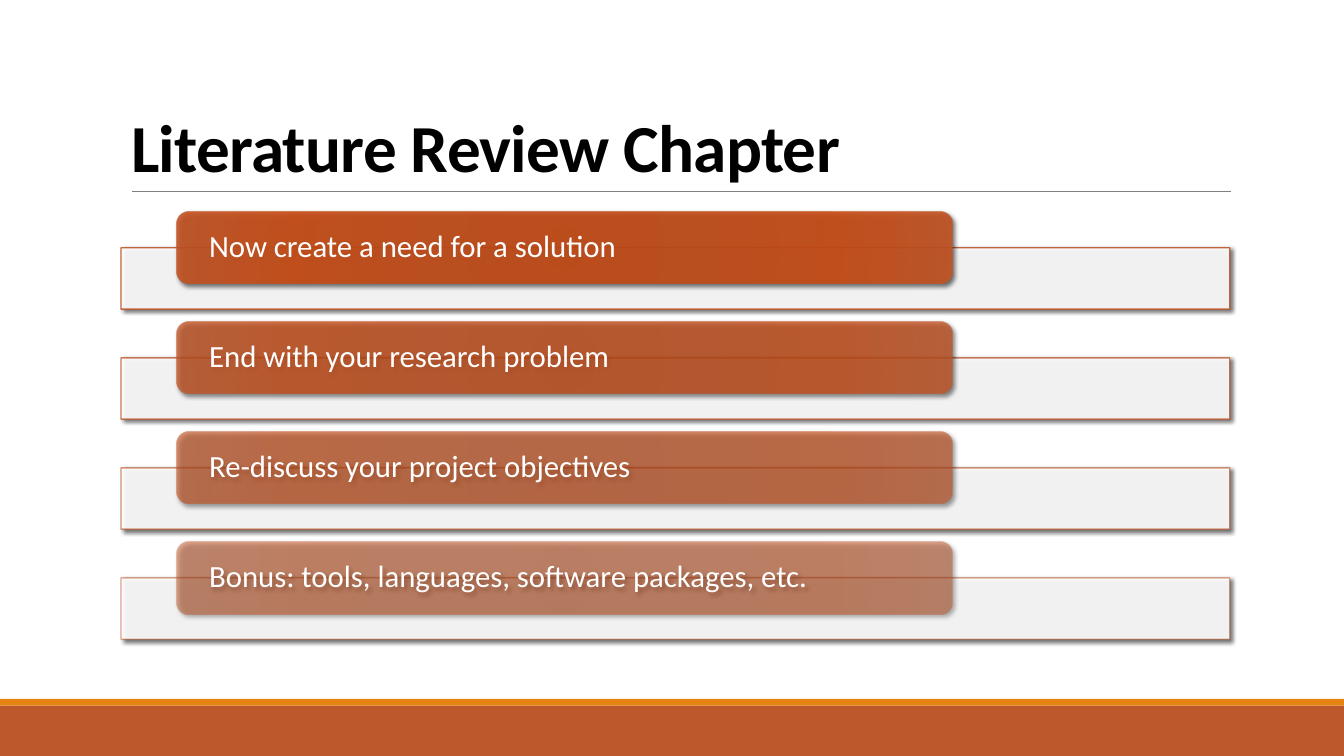
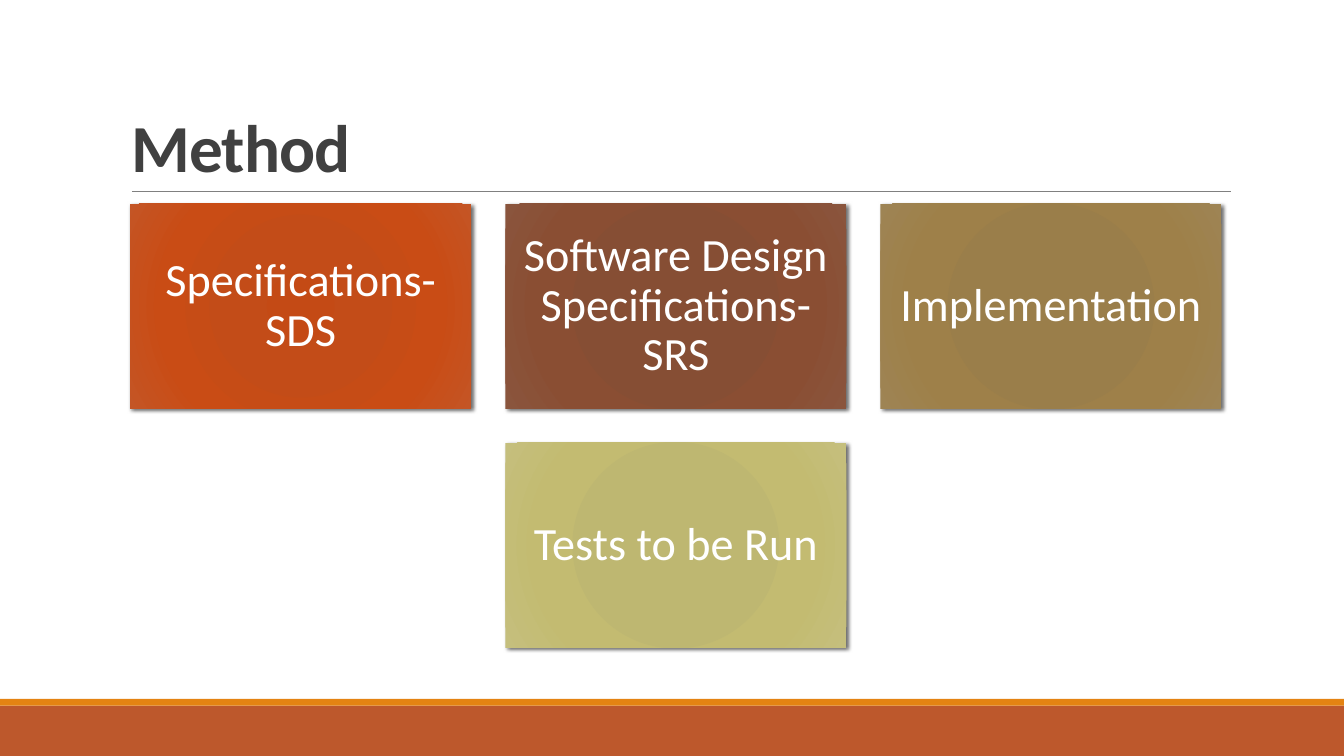
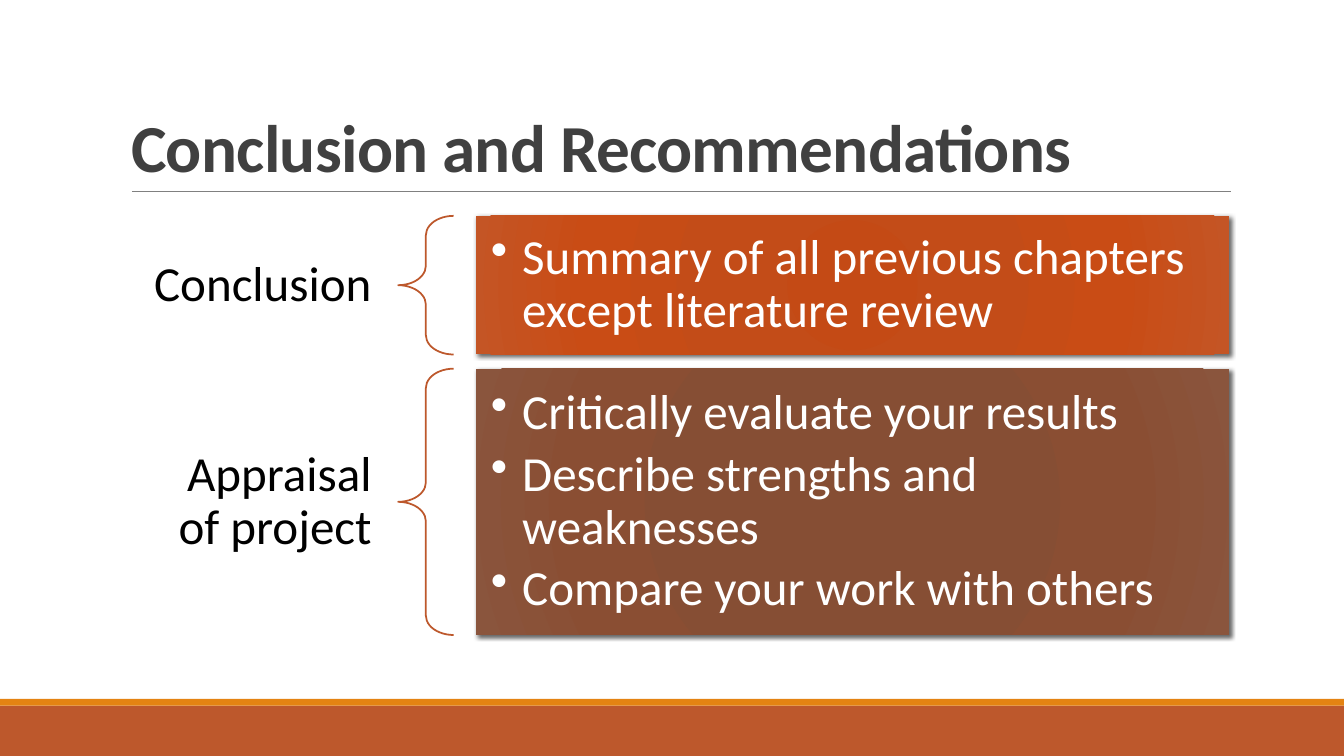
"""Builds three thesis-guidance slides that share one title style and footer band."""
from dataclasses import dataclass

import lxml.etree
import pptx
import pptx.dml.color
import pptx.enum.shapes
import pptx.enum.text
import pptx.oxml.ns
import pptx.presentation
import pptx.shapes.base
import pptx.slide
import pptx.util

SHAPES = pptx.enum.shapes.MSO_SHAPE
ALIGN = pptx.enum.text.PP_ALIGN
ANCHOR = pptx.enum.text.MSO_ANCHOR
qualified = pptx.oxml.ns.qn

SLIDE_WIDTH = pptx.util.Inches(13.33)
SLIDE_HEIGHT = pptx.util.Inches(7.5)
GRID_COLUMNS, GRID_ROWS = 160, 90

BLACK, WHITE, CHARCOAL, GREY = "000000", "FFFFFF", "404040", "808080"
RUST, AMBER = "BD582C", "E48312"
GRADIENT_POSITIONS = (0, 34, 70, 100)
ORANGE_SHADES = ("C44A15", "C34C18", "C94C15", "C45525")
BROWN_SHADES = ("874C32", "864E34", "8A4E33", "8A553D")
OCHRE_SHADES = ("9A7D48", "9A7E4A", "9E8049", "9E8454")
OLIVE_SHADES = ("BEB76E", "BEB771", "C3BB71", "C5BF7D")


@dataclass(frozen=True)
class Box:
    """A rectangle in grid columns and rows."""
    left: float
    top: float
    width: float
    height: float

    def emu(self) -> tuple[int, int, int, int]:
        """Return left, top, width and height in EMU."""
        return (columns(self.left), rows(self.top),
                columns(self.width), rows(self.height))


@dataclass(frozen=True)
class TextStyle:
    """The look of all paragraphs in one text frame."""
    size: float
    color: str = WHITE
    align: ALIGN = ALIGN.LEFT
    anchor: ANCHOR = ANCHOR.MIDDLE
    side_inset: float = 1.2
    end_inset: float = 0.6
    line_spacing: float = 0.9
    bold: bool = False
    tracking: float = 0
    bullet_indent: float = 0


@dataclass(frozen=True)
class Tile:
    """A caption on a gradient tile."""
    caption: str
    shades: tuple[str, ...]


@dataclass(frozen=True)
class Topic:
    """A label braced to a panel of bullet points."""
    label: str
    points: tuple[str, ...]
    shades: tuple[str, ...]
    height: float


PILL_TEXT = TextStyle(22, side_inset=3.48, end_inset=0)
TILE_TEXT = TextStyle(33, align=ALIGN.CENTER, side_inset=1.68, end_inset=1.68)
LABEL_TEXT = TextStyle(35, BLACK, ALIGN.RIGHT, side_inset=3.24, end_inset=1.2)
POINT_TEXT = TextStyle(35, side_inset=1.8, end_inset=1.8, bullet_indent=3.72)

REVIEW_STEPS = (
    "Now create a need for a solution",
    "End with your research problem",
    "Re-discuss your project objectives",
    "Bonus: tools, languages, software packages, etc.",
)
METHOD_TILES = (
    Tile("Specifications-SDS", ORANGE_SHADES),
    Tile("Software Design Specifications-SRS", BROWN_SHADES),
    Tile("Implementation", OCHRE_SHADES),
    Tile("Tests to be Run", OLIVE_SHADES),
)
TOPICS = (
    Topic("Conclusion",
          ("Summary of all previous chapters except literature review",),
          ORANGE_SHADES, 16.5),
    Topic("Appraisal of project",
          ("Critically evaluate your results",
           "Describe strengths and weaknesses",
           "Compare your work with others"),
          BROWN_SHADES, 31.7),
)


def columns(count: float) -> int:
    """Convert grid columns to EMU."""
    return round(SLIDE_WIDTH * count / GRID_COLUMNS)


def rows(count: float) -> int:
    """Convert grid rows to EMU."""
    return round(SLIDE_HEIGHT * count / GRID_ROWS)


def rgb(color: str) -> pptx.dml.color.RGBColor:
    """Turn a hex string into a colour."""
    return pptx.dml.color.RGBColor.from_string(color)


def add_element(parent: lxml.etree._Element, name: str,
                **attributes: object) -> lxml.etree._Element:
    """Append a drawing element with the given attributes."""
    values = {key: str(value) for key, value in attributes.items()}
    return lxml.etree.SubElement(parent, qualified(f"a:{name}"), values)


def set_opacity(color_element: lxml.etree._Element, opacity: int) -> None:
    """Make a colour element partly transparent, in percent."""
    if opacity < 100:
        add_element(color_element, "alpha", val=opacity * 1000)


def fill_gradient(shape: pptx.shapes.base.BaseShape, shades: tuple[str, ...],
                  opacity: int = 100) -> None:
    """Fill a shape with a radial gradient."""
    shape.fill.background()
    properties = shape._element.spPr
    empty_fill = properties.find(qualified("a:noFill"))
    gradient = add_element(properties, "gradFill", rotWithShape=1)
    properties.replace(empty_fill, gradient)
    stops = add_element(gradient, "gsLst")
    for position, shade in zip(GRADIENT_POSITIONS, shades):
        stop = add_element(stops, "gs", pos=position * 1000)
        set_opacity(add_element(stop, "srgbClr", val=shade), opacity)
    circle = add_element(gradient, "path", path="circle")
    add_element(circle, "fillToRect", l=100000, t=100000, r=100000, b=100000)


def drop_shadow(shape: pptx.shapes.base.BaseShape) -> None:
    """Give a shape a soft shadow to the lower right."""
    effects = shape._element.spPr.find(qualified("a:effectLst"))
    shadow = add_element(effects, "outerShdw", blurRad=pptx.util.Pt(3),
                         dist=pptx.util.Pt(2), dir=45 * 60000, rotWithShape=0)
    set_opacity(add_element(shadow, "srgbClr", val=BLACK), 60)


def add_plain_shape(slide: pptx.slide.Slide, kind: SHAPES, box: Box,
                    fill: str | None = None) -> pptx.shapes.base.BaseShape:
    """Add a shape without outline or shadow."""
    shape = slide.shapes.add_shape(kind, *box.emu())
    shape.shadow.inherit = False
    shape.line.fill.background()
    if fill:
        shape.fill.solid()
        shape.fill.fore_color.rgb = rgb(fill)
    else:
        shape.fill.background()
    return shape


def add_gradient_shape(slide: pptx.slide.Slide, kind: SHAPES, box: Box,
                       shades: tuple[str, ...],
                       opacity: int = 100) -> pptx.shapes.base.BaseShape:
    """Add a shadowed shape with a gradient fill."""
    shape = add_plain_shape(slide, kind, box)
    fill_gradient(shape, shades, opacity)
    drop_shadow(shape)
    return shape


def write(shape: pptx.shapes.base.BaseShape, lines: tuple[str, ...],
          style: TextStyle) -> None:
    """Write one paragraph per line in the given style."""
    frame = shape.text_frame
    frame.word_wrap = True
    frame.vertical_anchor = style.anchor
    frame.margin_left = frame.margin_right = columns(style.side_inset)
    frame.margin_top = frame.margin_bottom = rows(style.end_inset)
    for index, line in enumerate(lines):
        paragraph = frame.add_paragraph() if index else frame.paragraphs[0]
        if style.bullet_indent:
            properties = paragraph._p.get_or_add_pPr()
            indent = columns(style.bullet_indent)
            properties.set("marL", str(indent))
            properties.set("indent", str(-indent))
            add_element(properties, "buChar", char="•")
        paragraph.alignment = style.align
        paragraph.line_spacing = style.line_spacing
        if index < len(lines) - 1:
            paragraph.space_after = pptx.util.Pt(6)
        run = paragraph.add_run()
        run.text = line
        run.font.name = "Calibri"
        run.font.size = pptx.util.Pt(style.size)
        run.font.bold = style.bold
        run.font.color.rgb = rgb(style.color)
        if style.tracking:
            run._r.get_or_add_rPr().set("spc", str(round(style.tracking * 100)))


def add_text(slide: pptx.slide.Slide, box: Box, text: str, style: TextStyle) -> None:
    """Add a text box with one paragraph."""
    write(slide.shapes.add_textbox(*box.emu()), (text,), style)


def add_titled_slide(presentation: pptx.presentation.Presentation, title: str,
                     color: str = CHARCOAL) -> pptx.slide.Slide:
    """Add a blank slide with footer bands, title and rule."""
    slide = presentation.slides.add_slide(presentation.slide_layouts[6])
    add_plain_shape(slide, SHAPES.RECTANGLE, Box(0, 84, GRID_COLUMNS, 6), RUST)
    add_plain_shape(slide, SHAPES.RECTANGLE, Box(0, 83.2, GRID_COLUMNS, 0.8), AMBER)
    rule = slide.shapes.add_connector(
        pptx.enum.shapes.MSO_CONNECTOR.STRAIGHT,
        columns(15.7), rows(22.8), columns(146.5), rows(22.8))
    rule.line.color.rgb = rgb(GREY)
    rule.line.width = pptx.util.Pt(0.5)
    add_element(rule._element.spPr, "effectLst")
    add_text(slide, Box(14.4, 3.7, 132, 19.1), title,
             TextStyle(48, color, anchor=ANCHOR.BOTTOM, line_spacing=0.85,
                       bold=True, tracking=-0.5))
    return slide


def add_review_step(slide: pptx.slide.Slide, index: int, text: str) -> None:
    """Add a framed bar with a pill that fades from step to step."""
    offset = index * 13.1
    opacity = round(90 - index * 40 / (len(REVIEW_STEPS) - 1))
    frame = add_plain_shape(slide, SHAPES.RECTANGLE,
                            Box(14.4, 29.5 + offset, 132, 7.3), WHITE)
    frame.line.color.rgb = rgb(RUST)
    frame.line.width = pptx.util.Pt(1)
    fill_color, line_color = frame._element.spPr.iter(qualified("a:srgbClr"))
    set_opacity(fill_color, 90)
    set_opacity(line_color, opacity)
    drop_shadow(frame)
    pill = add_gradient_shape(slide, SHAPES.ROUNDED_RECTANGLE,
                              Box(21, 25.2 + offset, 92.4, 8.6),
                              ORANGE_SHADES, opacity)
    write(pill, (text,), PILL_TEXT)


def add_tiles(slide: pptx.slide.Slide, tiles: tuple[Tile, ...], per_row: int) -> None:
    """Lay tiles out in rows and centre a short last row."""
    width, height, gap = 40.6, 24.4, 4.06
    for index, tile in enumerate(tiles):
        row, column = divmod(index, per_row)
        in_row = min(per_row, len(tiles) - row * per_row)
        place = column + (per_row - in_row) / 2
        box = Box(15.5 + place * (width + gap), 24.24 + row * (height + gap),
                  width, height)
        shape = add_gradient_shape(slide, SHAPES.RECTANGLE, box, tile.shades)
        write(shape, (tile.caption,), TILE_TEXT)


def add_topics(slide: pptx.slide.Slide, topics: tuple[Topic, ...]) -> None:
    """Stack topics as label, brace and panel."""
    top, gap = 25.7, 1.7
    for topic in topics:
        add_text(slide, Box(14.5, top, 33, topic.height), topic.label, LABEL_TEXT)
        brace = add_plain_shape(slide, SHAPES.LEFT_BRACE,
                                Box(47.4, top, 6.6, topic.height))
        brace.adjustments[0] = 0.35
        brace.line.color.rgb = rgb(RUST)
        brace.line.width = pptx.util.Pt(1.25)
        panel = add_gradient_shape(slide, SHAPES.RECTANGLE,
                                   Box(56.65, top, 89.65, topic.height),
                                   topic.shades)
        write(panel, topic.points, POINT_TEXT)
        top += topic.height + gap


def main() -> None:
    """Build and save the presentation."""
    presentation = pptx.Presentation()
    presentation.slide_width = SLIDE_WIDTH
    presentation.slide_height = SLIDE_HEIGHT
    review = add_titled_slide(presentation, "Literature Review Chapter", BLACK)
    for index, text in enumerate(REVIEW_STEPS):
        add_review_step(review, index, text)
    add_tiles(add_titled_slide(presentation, "Method"), METHOD_TILES, per_row=3)
    add_topics(add_titled_slide(presentation, "Conclusion and Recommendations"), TOPICS)
    presentation.save("out.pptx")


if __name__ == "__main__":
    main()
